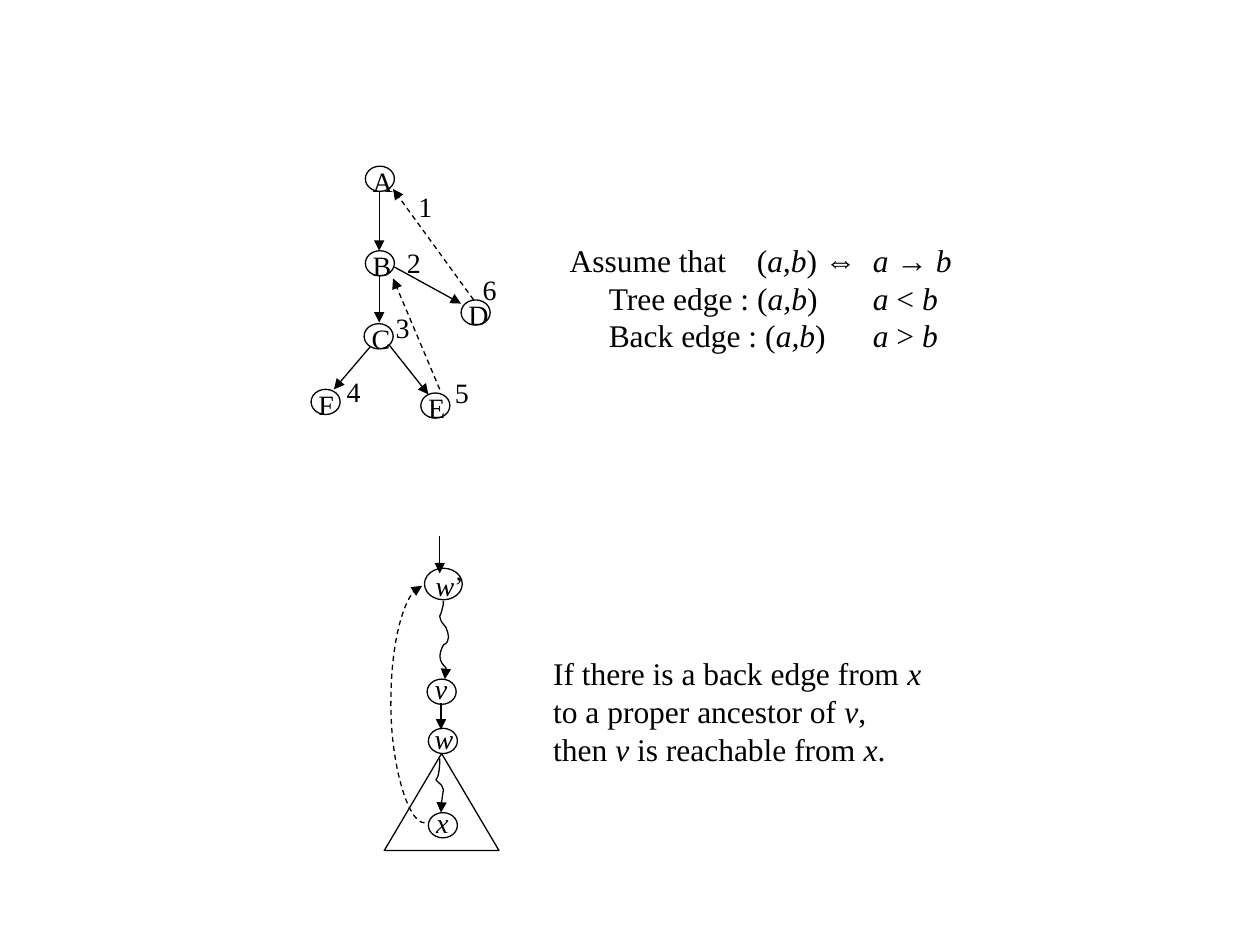
from lxml import etree
from pptx import Presentation
from pptx.dml.color import RGBColor
from pptx.enum.dml import MSO_LINE
from pptx.enum.shapes import MSO_CONNECTOR, MSO_SHAPE
from pptx.enum.text import MSO_ANCHOR, PP_ALIGN
from pptx.oxml.ns import qn
from pptx.util import Pt

OVAL, TRIANGLE = MSO_SHAPE.OVAL, MSO_SHAPE.ISOSCELES_TRIANGLE
STRAIGHT, CURVE = MSO_CONNECTOR.STRAIGHT, MSO_CONNECTOR.CURVE
DASH, MIDDLE = MSO_LINE.DASH, MSO_ANCHOR.MIDDLE
LEFT, CENTER = PP_ALIGN.LEFT, PP_ALIGN.CENTER

COLORS = {"ink": "000000", "paper": "FFFFFF"}
FONT = "Times New Roman"
NODE_SIZE = (16.6, 14.4)
LABEL_SIZE = (23, 26.6)

# Content: asterisks enclose italic text; places are centres in points
TREE_NODES = {"A": (217.1, 102.2), "B": (217.1, 150.5), "C": (216.4, 192.2),
              "D": (271.8, 178.6), "E": (248.8, 231.8), "F": (186.1, 229.7)}
PATH_NODES = {"*v*": (252.4, 395.3), "*w*": (253.1, 423.4), "*x*": (253.1, 471.6)}
ANCESTOR = ("*w*’", (253.4, 333.7), (21.6, 18))
NUMBERS = {"1": (243, 117.7), "2": (236.5, 150.1), "3": (230, 186.8),
           "4": (202, 223.6), "5": (263.9, 224.3), "6": (279.7, 165.2)}
SUBTREE = (219.6, 430.6, 65.5, 55.4)

SOLID_EDGES = [
    ((216.7, 109.4), (216.7, 143.3)), ((216.7, 157.7), (216.7, 184.3)),
    ((211.7, 198), (190.8, 222.5)), ((222.5, 197.3), (244.8, 225.4)),
    ((225.4, 152.6), (263.5, 173.5)), ((251.3, 306), (251.3, 327.6)),
    ((252, 401.8), (252, 416.9)),
]
DASHED_EDGES = [((270.7, 171.4), (224.6, 108)), ((251.3, 222.5), (224.6, 159.1))]
BACK_EDGE = ((242.6, 470.2), (241.2, 334.8))
BACK_EDGE_LEFT = 223.2

# Start point, then three points for each curve
WAVES = [
    [(253.4, 343.4), (253.4, 344.9), (253.4, 346.3), (252.7, 347.8),
     (252.7, 349.2), (251.3, 352.1), (251.3, 352.1),
     (252, 355.7), (252.7, 355.7), (254.9, 358.6),
     (256.3, 362.2), (257.8, 366.5), (253.4, 368.6),
     (250.6, 373.7), (250.6, 378), (254.9, 381.6),
     (254.2, 387.4), (254.2, 385.2), (254.2, 388.1)],
    [(251.3, 433.4), (251.3, 436.3), (251.3, 439.2), (250.6, 442.1),
     (250.6, 443.5), (249.1, 445.7), (249.1, 445.7),
     (253.4, 450), (252, 447.8), (253.4, 451.4),
     (252.7, 455.8), (252, 460.1), (252, 464.4)],
]

EDGE_RULES = ["Assume that\t(*a,b*) ⇔\t*a* → *b*",
              "\tTree edge : (*a,b*)\t*a* < *b*",
              "\tBack edge : (*a,b*)\t*a* > *b*"]
EDGE_RULE_TABS = (22.3, 106.9, 173.2)
CLAIM = ["If there is a back edge from *x*",
         "to a proper ancestor of *v*,",
         "then *v* is reachable from *x*."]

deck = Presentation()
deck.slide_width, deck.slide_height = Pt(720), Pt(540)
page = deck.slides.add_slide(deck.slide_layouts[6])


def color(name):
    return RGBColor.from_string(COLORS[name])


def around(center, size):
    return center[0] - size[0] / 2, center[1] - size[1] / 2, *size


def draw_line(item, arrow=False, dashed=False):
    item.line.color.rgb = color("ink")
    item.line.width = Pt(0.75)
    if dashed:
        item.line.dash_style = DASH
    if arrow:
        outline = item.element.spPr.find(qn("a:ln"))
        etree.SubElement(outline, qn("a:tailEnd"), type="triangle")


def add_outline(preset, bounds, filled=True):
    shape = page.shapes.add_shape(preset, *map(Pt, bounds))
    shape.shadow.inherit = False
    if filled:
        shape.fill.solid()
        shape.fill.fore_color.rgb = color("paper")
    else:
        shape.fill.background()
    draw_line(shape)


def add_text(lines, bounds, size, align=LEFT, tabs=()):
    box = page.shapes.add_textbox(*map(Pt, bounds))
    frame = box.text_frame
    frame.word_wrap = True
    frame.vertical_anchor = MIDDLE
    for index, line in enumerate(lines):
        para = frame.paragraphs[0] if index == 0 else frame.add_paragraph()
        para.alignment = align
        if tabs:
            stops = etree.SubElement(para._p.get_or_add_pPr(), qn("a:tabLst"))
            for stop in tabs:
                etree.SubElement(stops, qn("a:tab"), pos=str(int(Pt(stop))), algn="l")
        for part, words in enumerate(line.split("*")):
            if words:
                span = para.add_run()
                span.text = words
                span.font.name = FONT
                span.font.size = Pt(size)
                span.font.italic = part % 2 == 1
                span.font.color.rgb = color("ink")


def add_label(text, center, shift=(0, 0), size=LABEL_SIZE):
    place = (center[0] + shift[0], center[1] + shift[1])
    add_text([text], around(place, size), 16, CENTER)


def add_edge(start, end, kind=STRAIGHT, dashed=False):
    edge = page.shapes.add_connector(kind, *map(Pt, (*start, *end)))
    draw_line(edge, arrow=True, dashed=dashed)
    etree.SubElement(edge.element.spPr, qn("a:effectLst"))
    return edge


def add_wave(points):
    start, *rest = [(Pt(x), Pt(y)) for x, y in points]
    builder = page.shapes.build_freeform(*start)
    builder.add_line_segments(rest, close=False)
    wave = builder.convert_to_shape()
    # Join every three segments into one curve
    segments = list(wave.element.iter(qn("a:lnTo")))
    for first in range(0, len(segments), 3):
        group = segments[first:first + 3]
        curve = etree.Element(qn("a:cubicBezTo"))
        group[0].addprevious(curve)
        for segment in group:
            curve.append(segment[0])
            segment.getparent().remove(segment)
    wave.fill.background()
    wave.shadow.inherit = False
    draw_line(wave, arrow=True)


# Nodes and their names
add_outline(TRIANGLE, SUBTREE)
for nodes, shift in ((TREE_NODES, (0.3, 1.2)), (PATH_NODES, (-0.4, -1.7))):
    for name, center in nodes.items():
        add_outline(OVAL, around(center, NODE_SIZE))
        add_label(name, center, shift)
name, center, size = ANCESTOR
add_outline(OVAL, around(center, size), filled=False)
add_label(name, center, (3.6, 0.7), (31.7, 26.6))

# Edges
for ends in SOLID_EDGES:
    add_edge(*ends)
for ends in DASHED_EDGES:
    add_edge(*ends, dashed=True)
for points in WAVES:
    add_wave(points)

# Curved back edge, bulging to the left
(start_x, _), (end_x, _) = BACK_EDGE
back_edge = add_edge(*BACK_EDGE, kind=CURVE, dashed=True)
bulge = round((start_x - BACK_EDGE_LEFT) / (start_x - end_x) * 100000)
adjustments = back_edge.element.spPr.find(qn("a:prstGeom")).get_or_add_avLst()
etree.SubElement(adjustments, qn("a:gd"), name="adj1", fmla=f"val {bulge}")

# Numbers and explanations
for number, center in NUMBERS.items():
    add_label(number, center)
add_text(EDGE_RULES, (318.5, 134, 236, 72), 18, tabs=EDGE_RULE_TABS)
add_text(CLAIM, (309, 370.3, 228, 72), 18)

deck.save("out.pptx")
